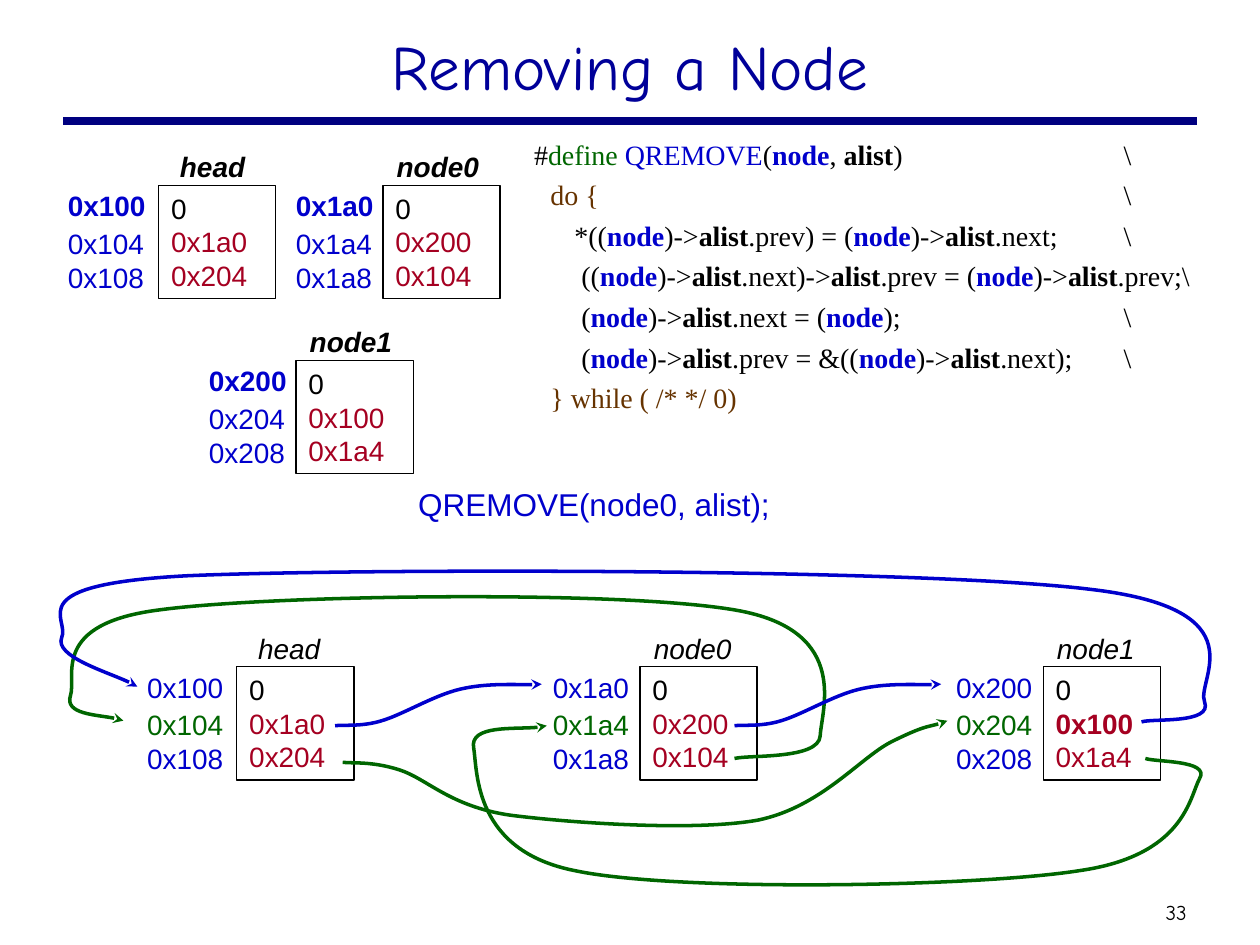
from lxml.etree import SubElement
from pptx import Presentation
from pptx.dml.color import RGBColor
from pptx.enum.shapes import MSO_CONNECTOR, MSO_SHAPE
from pptx.enum.text import MSO_ANCHOR, MSO_AUTO_SIZE, PP_ALIGN
from pptx.oxml.ns import qn
from pptx.util import Inches, Pt

NAVY = RGBColor(0x00, 0x00, 0x80)
TITLE_BLUE = RGBColor(0x00, 0x00, 0x99)
BLUE = RGBColor(0x00, 0x00, 0xCC)
GREEN = RGBColor(0x00, 0x66, 0x00)
RED = RGBColor(0xA5, 0x00, 0x21)
BROWN = RGBColor(0x66, 0x33, 0x00)
BLACK = RGBColor(0x00, 0x00, 0x00)
WHITE = RGBColor(0xFF, 0xFF, 0xFF)

# Name, box left and top, address left, name left and width, addresses, values
BEFORE_NODES = [
    ("head", 1.26, 1.47, 0.44, 1.33, 0.78, ("0x100", "0x104", "0x108"), ("0", "0x1a0", "0x204")),
    ("node0", 3.04, 1.47, 2.25, 3.05, 0.91, ("0x1a0", "0x1a4", "0x1a8"), ("0", "0x200", "0x104")),
    ("node1", 2.35, 2.86, 1.56, 2.36, 0.85, ("0x200", "0x204", "0x208"), ("0", "0x100", "0x1a4")),
]
LINKED_NODES = [
    ("head", 1.88, 5.29, 1.07, 1.95, 0.75, ("0x100", "0x104", "0x108"), ("0", "0x1a0", "0x204")),
    ("node0", 5.08, 5.29, 4.29, 5.09, 0.88, ("0x1a0", "0x1a4", "0x1a8"), ("0", "0x200", "0x104")),
    ("node1", 8.28, 5.29, 7.49, 8.29, 0.81, ("0x200", "0x204", "0x208"), ("0", "0x100", "0x1a4")),
]
BOLD_VALUE = ("node1", "0x100")  # emphasised among the linked nodes
ADDRESS_OFFSETS = (-0.02, 0.28, 0.55)

# Macro lines; "|" separates differently styled pieces
CODE_LINES = [
    "#|define |QREMOVE|(|node|, |alist|)\t\\",
    "\t|do {\t\t\t|\\",
    "\t\t*((|node|)->|alist|.prev) = (|node|)->|alist|.next;\t\\",
    "\t\t ((|node|)->|alist|.next)->|alist|.prev = (|node|)->|alist|.prev;\\",
    "\t\t (|node|)->|alist|.next = (|node|);\t\\",
    "\t\t (|node|)->|alist|.prev = &((|node|)->|alist|.next);\t\\",
    "\t|} while ( /* */ 0)",
]
CODE_STYLES = {
    "define ": (GREEN, False),
    "QREMOVE": (BLUE, False),
    "node": (BLUE, True),
    "alist": (BLACK, True),
    "do {\t\t\t": (BROWN, False),
    "} while ( /* */ 0)": (BROWN, False),
}
CODE_TABS = (0.13, 0.32, 0.57, 2.75, 4.68)

# Pointer curves: a start point, then three Bézier points per segment
NEXT_CURVE = [(0, 0.33), (0.06, 0.32), (0.21, 0.34), (0.37, 0.29), (0.54, 0.24),
              (0.78, 0.09), (0.99, 0.04), (1.2, -0.01), (1.5, 0.01), (1.64, 0)]
POINTERS = [
    (BLUE, [(2.66 + x, 5.43 + y) for x, y in NEXT_CURVE]),
    (GREEN, [(5.83, 6.02), (5.94, 5.99), (6.5, 6.03), (6.51, 5.84), (6.52, 5.64), (6.75, 5.02),
             (5.88, 4.85), (5, 4.68), (2.16, 4.72), (1.27, 4.84), (0.39, 4.95), (0.61, 5.37),
             (0.56, 5.52), (0.51, 5.67), (0.89, 5.68), (0.98, 5.72)]),
    (GREEN, [(9.09, 6.02), (9.16, 6.05), (9.61, 6.03), (9.52, 6.18), (9.44, 6.33), (9.4, 6.79),
             (8.57, 6.91), (7.75, 7.04), (5.36, 7.08), (4.56, 6.91), (3.76, 6.75), (3.79, 6.13),
             (3.76, 5.94), (3.72, 5.75), (4.22, 5.8), (4.34, 5.76)]),
    (GREEN, [(2.72, 6.05), (2.8, 6.06), (2.95, 6.04), (3.17, 6.11), (3.39, 6.18), (3.57, 6.4),
             (4.05, 6.47), (4.52, 6.53), (5.5, 6.6), (6.01, 6.51), (6.51, 6.41), (6.82, 6.02),
             (7.07, 5.89), (7.33, 5.76), (7.43, 5.76), (7.52, 5.72)]),
    (BLUE, [(9.06, 5.73), (9.14, 5.7), (9.63, 5.75), (9.56, 5.57), (9.49, 5.4), (10.01, 4.84),
            (8.67, 4.68), (7.32, 4.51), (2.86, 4.51), (1.49, 4.57), (0.13, 4.64), (0.56, 4.91),
            (0.49, 5.06), (0.43, 5.21), (0.97, 5.37), (1.09, 5.45)]),
    (BLUE, [(5.83 + x, 5.43 + y) for x, y in NEXT_CURVE]),
]


def style(font, color, size=16, name="Arial", bold=False, italic=False):
    font.name, font.size, font.bold, font.italic = name, Pt(size), bold, italic
    font.color.rgb = color


def add_label(shapes, box, text, color, wrap=False, **font_options):
    label = shapes.add_textbox(*map(Inches, box))
    frame = label.text_frame
    frame.word_wrap = wrap
    frame.auto_size = MSO_AUTO_SIZE.NONE
    if not wrap:
        frame.margin_right = 0  # leaves room for the text on one line
    frame.text = text
    style(frame.paragraphs[0].runs[0].font, color, **font_options)
    return frame


def add_rectangle(shapes, box):
    rectangle = shapes.add_shape(MSO_SHAPE.RECTANGLE, *map(Inches, box))
    rectangle.shadow.inherit = False
    rectangle.text_frame.word_wrap = True
    rectangle.text_frame.vertical_anchor = MSO_ANCHOR.TOP
    return rectangle


def add_node(slide, node, linked):
    name, left, top, address_left, name_left, name_width, addresses, values = node
    shapes = slide.shapes.add_group_shape().shapes
    box = add_rectangle(shapes, (left, top, 0.93, 0.9))
    box.fill.background()
    box.line.color.rgb = BLACK
    box.line.width = Pt(0.75)
    box.text_frame.text = "\n".join(values)
    for row, (paragraph, value) in enumerate(zip(box.text_frame.paragraphs, values)):
        paragraph.alignment = PP_ALIGN.LEFT
        bold = linked and (name, value) == BOLD_VALUE
        style(paragraph.runs[0].font, RED if row else BLACK, bold=bold)
    add_label(shapes, (name_left, top - 0.33, name_width, 0.37), name, BLACK,
              bold=not linked, italic=True)
    for row, (address, offset) in enumerate(zip(addresses, ADDRESS_OFFSETS)):
        add_label(shapes, (address_left, top + offset, 0.8, 0.37), address,
                  GREEN if linked and row == 1 else BLUE, bold=not linked and row == 0)


def add_pointer(slide, color, points):
    vertices = [(Inches(x), Inches(y)) for x, y in points]
    builder = slide.shapes.build_freeform(*vertices[0], scale=1.0)
    builder.add_line_segments(vertices[1:], close=False)
    curve = builder.convert_to_shape()
    curve.shadow.inherit = False
    curve.fill.background()
    curve.line.color.rgb = color
    curve.line.width = Pt(2)
    # Turn each three straight steps into one cubic segment
    outline = next(curve._element.iter(qn("a:path")))
    steps = outline.findall(qn("a:lnTo"))
    for start in range(0, len(steps), 3):
        cubic = SubElement(outline, qn("a:cubicBezTo"))
        for step in steps[start:start + 3]:
            cubic.append(step[0])
            outline.remove(step)
    SubElement(curve.line._get_or_add_ln(), qn("a:tailEnd"), type="stealth")


def add_code(slide):
    panel = add_rectangle(slide.shapes, (4.14, 1.04, 5.72, 2.44))
    panel.fill.solid()
    panel.fill.fore_color.rgb = WHITE
    panel.line.fill.background()
    frame = panel.text_frame
    for index, line in enumerate(CODE_LINES):
        paragraph = frame.add_paragraph() if index else frame.paragraphs[0]
        paragraph.alignment = PP_ALIGN.LEFT
        paragraph.space_before = Pt(4)
        tabs = SubElement(paragraph._p.get_or_add_pPr(), qn("a:tabLst"))
        for position in CODE_TABS:
            SubElement(tabs, qn("a:tab"), pos=str(Inches(position)), algn="l")
        for piece in line.split("|"):
            run = paragraph.add_run()
            run.text = piece
            color, bold = CODE_STYLES.get(piece, (BLACK, False))
            style(run.font, color, name="Times New Roman", bold=bold)


def main():
    presentation = Presentation()
    presentation.slide_width, presentation.slide_height = Inches(10), Inches(7.5)
    slide = presentation.slides.add_slide(presentation.slide_layouts[6])

    # Title, rule and page number
    rule = slide.shapes.add_connector(MSO_CONNECTOR.STRAIGHT, Inches(0.5), Inches(0.96),
                                      Inches(9.5), Inches(0.96))
    rule.line.color.rgb = NAVY
    rule.line.width = Pt(4.5)
    SubElement(rule._element.spPr, qn("a:effectLst"))
    title = add_label(slide.shapes, (0.75, 0.09, 8.5, 0.86), "Removing a Node", TITLE_BLUE,
                      wrap=True, size=36, name="Comic Neue")
    number = add_label(slide.shapes, (9.1, 7.09, 0.47, 0.3), "33", BLACK,
                       wrap=True, size=12, name="Comic Neue")
    number.margin_left = number.margin_right = Inches(0.05)
    for frame in (title, number):
        frame.vertical_anchor = MSO_ANCHOR.MIDDLE
        frame.paragraphs[0].alignment = PP_ALIGN.CENTER

    # Memory before the call, the macro and the call
    for node in BEFORE_NODES:
        add_node(slide, node, linked=False)
    add_label(slide.shapes, (3.22, 3.8, 2.99, 0.4), "QREMOVE(node0, alist);", BLUE, size=18)
    add_code(slide)

    # Linked nodes and their pointers
    for node in LINKED_NODES:
        add_node(slide, node, linked=True)
    for color, points in POINTERS:
        add_pointer(slide, color, points)

    presentation.save("out.pptx")


if __name__ == "__main__":
    main()
